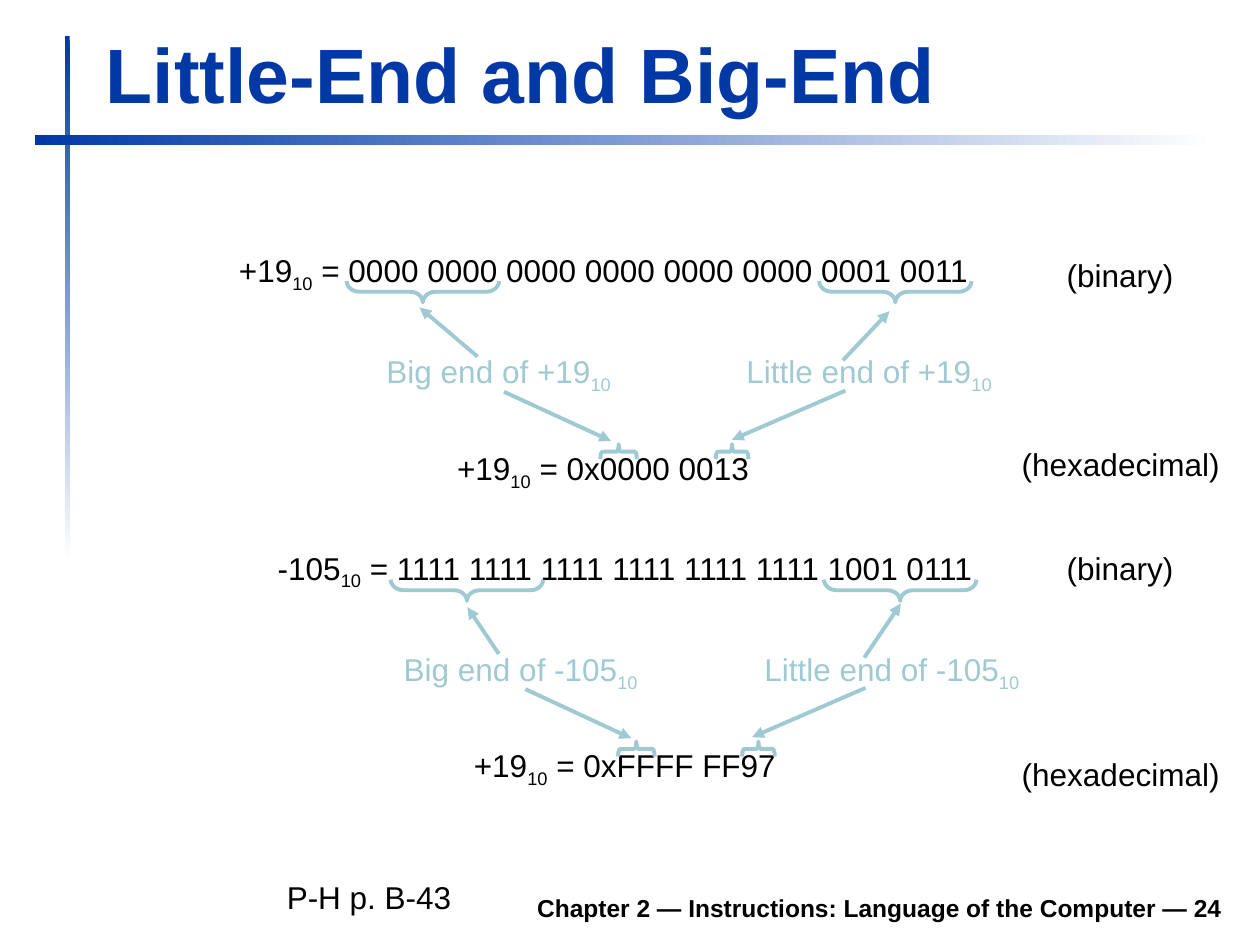
"""Build the slide that shows the little and big ends of two binary numbers."""
from lxml import etree
from pptx import Presentation
from pptx.dml.color import RGBColor
from pptx.enum.shapes import MSO_CONNECTOR, MSO_SHAPE
from pptx.enum.text import MSO_ANCHOR as Anchor, MSO_AUTO_SIZE as AutoSize, PP_ALIGN as Align
from pptx.oxml.ns import qn
from pptx.util import Pt

BLUE, TEAL, BLACK, WHITE = "0039A6", "9FCAD3", "000000", "FFFFFF"
rgb = RGBColor.from_string


def write(shape, runs, color=BLACK, size=18, bold=False, align=Align.CENTER, anchor=Anchor.MIDDLE, wrap=False):
    frame = shape.text_frame
    frame.word_wrap = wrap
    frame.auto_size = AutoSize.NONE if wrap else AutoSize.SHAPE_TO_FIT_TEXT
    frame.vertical_anchor = anchor
    if align == Align.CENTER:
        frame.margin_left = frame.margin_right = Pt(3)
    paragraph = frame.paragraphs[0]
    paragraph.alignment = align
    for text in runs:
        run = paragraph.add_run()
        run.text = text
        run.font.name = "Arial"
        run.font.size = Pt(size)
        run.font.bold = bold
        run.font.color.rgb = rgb(color)
        if text.strip() == "10":
            run._r.get_or_add_rPr().set("baseline", "-25000")


def add_text(left, top, width, height, runs, **style):
    box = slide.shapes.add_textbox(Pt(left), Pt(top), Pt(width), Pt(height))
    write(box, runs, **style)


presentation = Presentation()
presentation.slide_width, presentation.slide_height = Pt(720), Pt(540)
slide = presentation.slides.add_slide(presentation.slide_layouts[5])

for left, top, width, height, angle in [(36.9, 20.4, 2.9, 300.2, 270), (19.8, 77, 674.6, 5.8, 0)]:
    bar = slide.shapes.add_shape(MSO_SHAPE.RECTANGLE, Pt(left), Pt(top), Pt(width), Pt(height))
    bar.shadow.inherit = False
    bar.line.fill.background()
    bar.fill.gradient()
    bar.fill.gradient_angle = angle
    for stop, color in zip(bar.fill.gradient_stops, (BLUE, WHITE)):
        stop.color.rgb = rgb(color)

title = slide.shapes.title
title.left, title.top, title.width, title.height = Pt(54), Pt(11.5), Pt(650), Pt(59.8)
title.text_frame.margin_left = Pt(6.5)
write(title, ["Little-End and Big-End"], color=BLUE, size=44, bold=True,
      align=Align.LEFT, anchor=Anchor.BOTTOM, wrap=True)

add_text(133.2, 502.6, 572.4, 28.1, ["Chapter 2 — Instructions: Language of the Computer — 24"],
         size=14, bold=True, align=Align.RIGHT, anchor=Anchor.BOTTOM, wrap=True)
add_text(156.8, 498.2, 114, 28.8, ["P-H p. B-43"], align=Align.LEFT, anchor=Anchor.TOP, wrap=True)

numbers = [
    (128.9, 139.9, 432, ["+19", "10", " = 0000 0000 0000 0000 0000 0000 0001 0011"]),
    (254.2, 252.9, 180.7, ["+19", "10", " = 0x0000 0013"]),
    (138.2, 309.9, 437.8, ["-105", "10", " = 1111 1111 1111 1111 1111 1111 1001 0111"]),
    (263.5, 422.9, 187.2, ["+19", "10", " = 0xFFFF FF97"]),
]
for left, top, width, runs in numbers:
    add_text(left, top, width, 31.7, runs)

end_labels = [
    (212.6, 197.6, 147.6, "Big end of +19"),
    (418.5, 197.6, 159.1, "Little end of +19"),
    (222.7, 367.9, 152.6, "Big end of -105"),
    (428.6, 367.9, 164.9, "Little end of -105"),
]
for left, top, width, label in end_labels:
    add_text(left, top, width, 31.7, [label, "10 "], color=TEAL)

for binary_top, hexadecimal_top in [(142.6, 250.6), (310.3, 427.7)]:
    add_text(602.6, binary_top, 74.9, 28.8, ["(binary)"])
    add_text(576.7, hexadecimal_top, 127.4, 28.8, ["(hexadecimal)"])

byte_braces = [(241.6, 166.7), (511.6, 166.7), (266.8, 337.3), (514.4, 337.3)]
digit_braces = [(353.5, 258.1, 20.9), (418.3, 258.1, 18.7), (363.6, 428, 20.9), (433.4, 428, 18.7)]
braces = [(x, y, 12.2, 87.1, 270, 0.6) for x, y in byte_braces]
braces += [(x, y, 8.6, span, 90, 0.14) for x, y, span in digit_braces]
for center_x, center_y, depth, span, rotation, curve in braces:
    brace = slide.shapes.add_shape(MSO_SHAPE.LEFT_BRACE, Pt(center_x - depth / 2),
                                   Pt(center_y - span / 2), Pt(depth), Pt(span))
    brace.rotation = rotation
    brace.adjustments[0] = curve
    brace.shadow.inherit = False
    brace.fill.background()
    brace.line.color.rgb = rgb(TEAL)
    brace.line.width = Pt(2.25)

arrows = [
    (272.9, 203.8, 239.8, 175.7), (288, 223.9, 349.2, 252),
    (483.1, 223.2, 418.3, 251.3), (481.7, 205.9, 508.3, 177.8),
    (285.1, 373.7, 267.1, 347), (300.2, 393.8, 360.7, 421.9),
    (494.6, 393.1, 429.8, 421.2), (493.9, 375.8, 514.8, 344.9),
]
for points in arrows:
    arrow = slide.shapes.add_connector(MSO_CONNECTOR.STRAIGHT, *map(Pt, points))
    arrow.line.color.rgb = rgb(TEAL)
    arrow.line.width = Pt(2.25)
    etree.SubElement(arrow.line._get_or_add_ln(), qn("a:tailEnd"), type="triangle")
    etree.SubElement(arrow._element.spPr, qn("a:effectLst"))

presentation.save("out.pptx")
